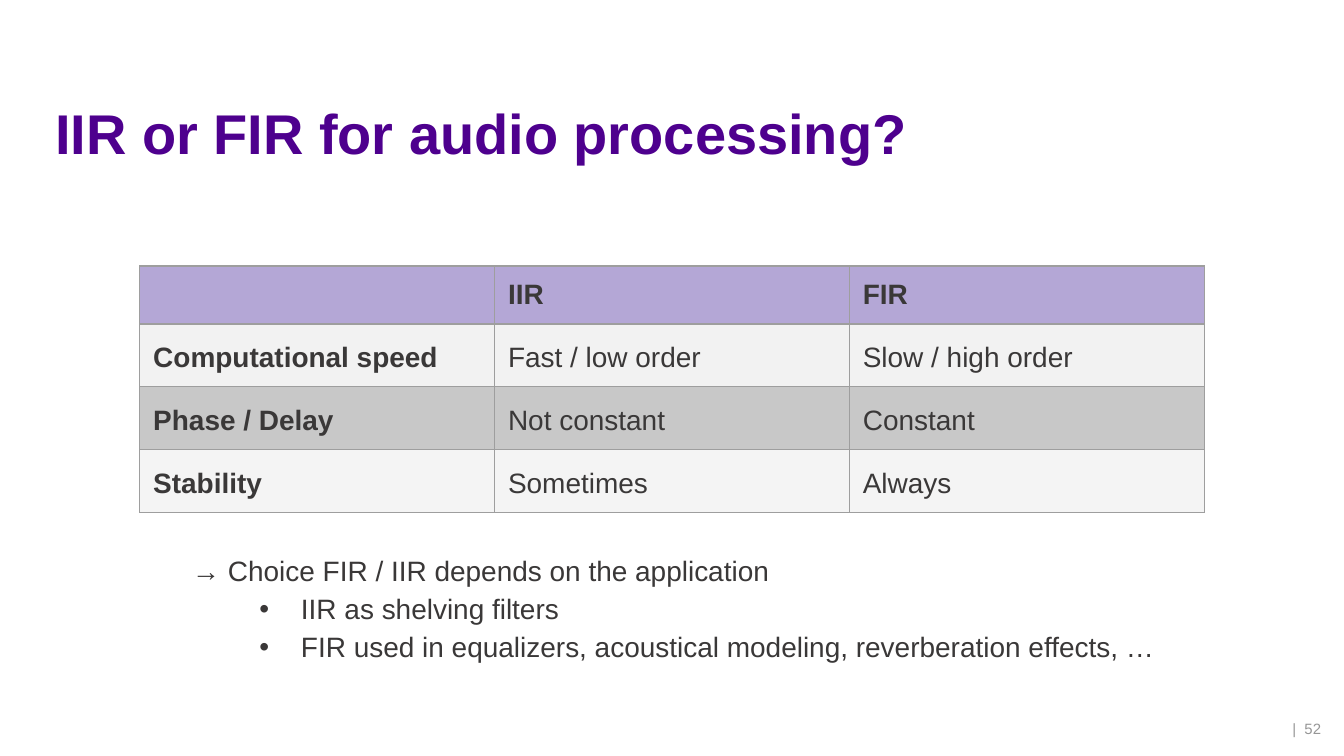
from lxml.etree import SubElement
from pptx import Presentation
from pptx.dml.color import RGBColor
from pptx.enum.text import MSO_ANCHOR as Anchor, PP_ALIGN as Align
from pptx.oxml.ns import qn
from pptx.util import Inches, Pt

PURPLE = RGBColor(0x4E, 0x00, 0x8E)
LAVENDER = RGBColor(0xB4, 0xA7, 0xD6)
DARK = RGBColor(0x3A, 0x38, 0x38)
PAGE_GRAY = RGBColor(0x96, 0x96, 0x96)
BORDER = RGBColor(0x9E, 0x9E, 0x9E)
ROW_FILLS = [LAVENDER, RGBColor(0xF2, 0xF2, 0xF2),
             RGBColor(0xC8, 0xC8, 0xC8), RGBColor(0xF4, 0xF4, 0xF4)]

TITLE_FONT = {"size": Pt(30), "bold": True, "color": PURPLE}
BODY_FONT = {"size": Pt(15), "bold": False, "color": DARK}
LABEL_FONT = {**BODY_FONT, "bold": True}
PAGE_FONT = {"size": Pt(8), "bold": False, "color": PAGE_GRAY}
CELL_MARGINS = {"margin_left": Inches(0.1), "margin_right": Inches(0.1),
                "margin_top": Inches(0.1), "margin_bottom": Inches(0.08)}

COMPARISON = [
    ["", "IIR", "FIR"],
    ["Computational speed", "Fast / low order", "Slow / high order"],
    ["Phase / Delay", "Not constant", "Constant"],
    ["Stability", "Sometimes", "Always"],
]
CONCLUSION = "→ Choice FIR / IIR depends on the application"
USES = [
    "IIR as shelving filters",
    "FIR used in equalizers, acoustical modeling, reverberation effects, …",
]


def write(paragraph, text, style):
    run = paragraph.add_run()
    run.text = text
    run.font.name = "Arial"
    run.font.color.rgb = style["color"]
    for key in ("size", "bold"):
        setattr(run.font, key, style[key])


def add_text_frame(slide, left, top, width, height, **layout):
    box = slide.shapes.add_textbox(*map(Inches, (left, top, width, height)))
    frame = box.text_frame
    settings = {
        "word_wrap": True,
        "margin_left": Inches(0.07), "margin_right": Inches(0.07),
        "margin_top": Inches(0.04), "margin_bottom": Inches(0.04),
        **layout,
    }
    for key, value in settings.items():
        setattr(frame, key, value)
    return frame


def set_indent(paragraph, left, first_line):
    properties = paragraph._p.get_or_add_pPr()
    properties.set("marL", str(Inches(left)))
    properties.set("indent", str(Inches(first_line)))
    return properties


def add_bullet(paragraph):
    properties = set_indent(paragraph, 1.81, -0.31)
    color = SubElement(properties, qn("a:buClr"))
    SubElement(color, qn("a:srgbClr"), val=str(DARK))
    SubElement(properties, qn("a:buFont"), typeface="Arial")
    SubElement(properties, qn("a:buChar"), char="•")


def outline_cell(cell):
    properties = cell._tc.get_or_add_tcPr()
    for position, side in enumerate(("a:lnL", "a:lnR", "a:lnT", "a:lnB")):
        line = SubElement(properties, qn(side), w=str(Pt(0.75)))
        fill = SubElement(line, qn("a:solidFill"))
        SubElement(fill, qn("a:srgbClr"), val=str(BORDER))
        properties.insert(position, line)


def add_title(slide):
    frame = add_text_frame(slide, 0.34, 0.75, 8.62, 0.53,
                           vertical_anchor=Anchor.BOTTOM)
    title = frame.paragraphs[0]
    title.line_spacing = 0.9
    write(title, "IIR or FIR for audio processing?", TITLE_FONT)


def add_comparison(slide):
    rows, columns = len(COMPARISON), len(COMPARISON[0])
    table = slide.shapes.add_table(
        rows, columns, Inches(1.04), Inches(1.98),
        Inches(2.64 * columns), Inches(0.42 * rows)).table
    for r, texts in enumerate(COMPARISON):
        for c, text in enumerate(texts):
            cell = table.cell(r, c)
            for side, margin in CELL_MARGINS.items():
                setattr(cell, side, margin)
            cell.fill.solid()
            cell.fill.fore_color.rgb = ROW_FILLS[r]
            outline_cell(cell)
            paragraph = cell.text_frame.paragraphs[0]
            if r:
                paragraph.line_spacing = 1.15
            if text:
                is_label = r == 0 or c == 0
                write(paragraph, text, LABEL_FONT if is_label else BODY_FONT)
            else:
                SubElement(paragraph._p, qn("a:endParaRPr"), sz="1500")


def add_conclusion(slide):
    frame = add_text_frame(slide, 0.36, 4.11, 9.33, 1.1)
    conclusion = frame.paragraphs[0]
    set_indent(conclusion, 0.5, 0.5)
    conclusion.line_spacing = 0.9
    write(conclusion, CONCLUSION, BODY_FONT)
    for use in USES:
        paragraph = frame.add_paragraph()
        add_bullet(paragraph)
        paragraph.line_spacing = 0.9
        paragraph.space_before = Pt(4)
        write(paragraph, use, BODY_FONT)


def add_page_number(slide):
    frame = add_text_frame(slide, 9.59, 5.32, 0.31, 0.21, margin_left=0,
                           vertical_anchor=Anchor.BOTTOM)
    frame.paragraphs[0].alignment = Align.RIGHT
    write(frame.paragraphs[0], "|  52", PAGE_FONT)


def main():
    presentation = Presentation()
    presentation.slide_width = Inches(10)
    presentation.slide_height = Inches(10 * 9 / 16)
    slide = presentation.slides.add_slide(presentation.slide_layouts[6])
    add_title(slide)
    add_comparison(slide)
    add_conclusion(slide)
    add_page_number(slide)
    presentation.save("out.pptx")


if __name__ == "__main__":
    main()
